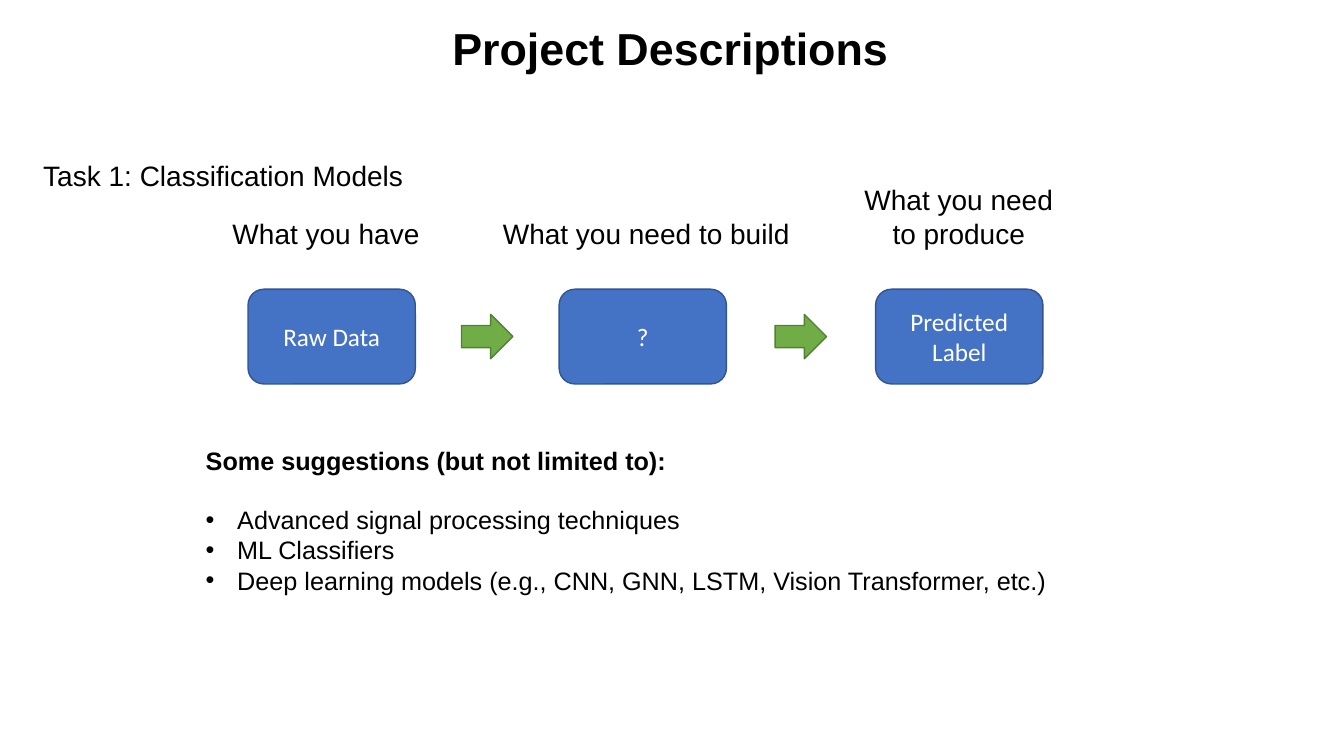
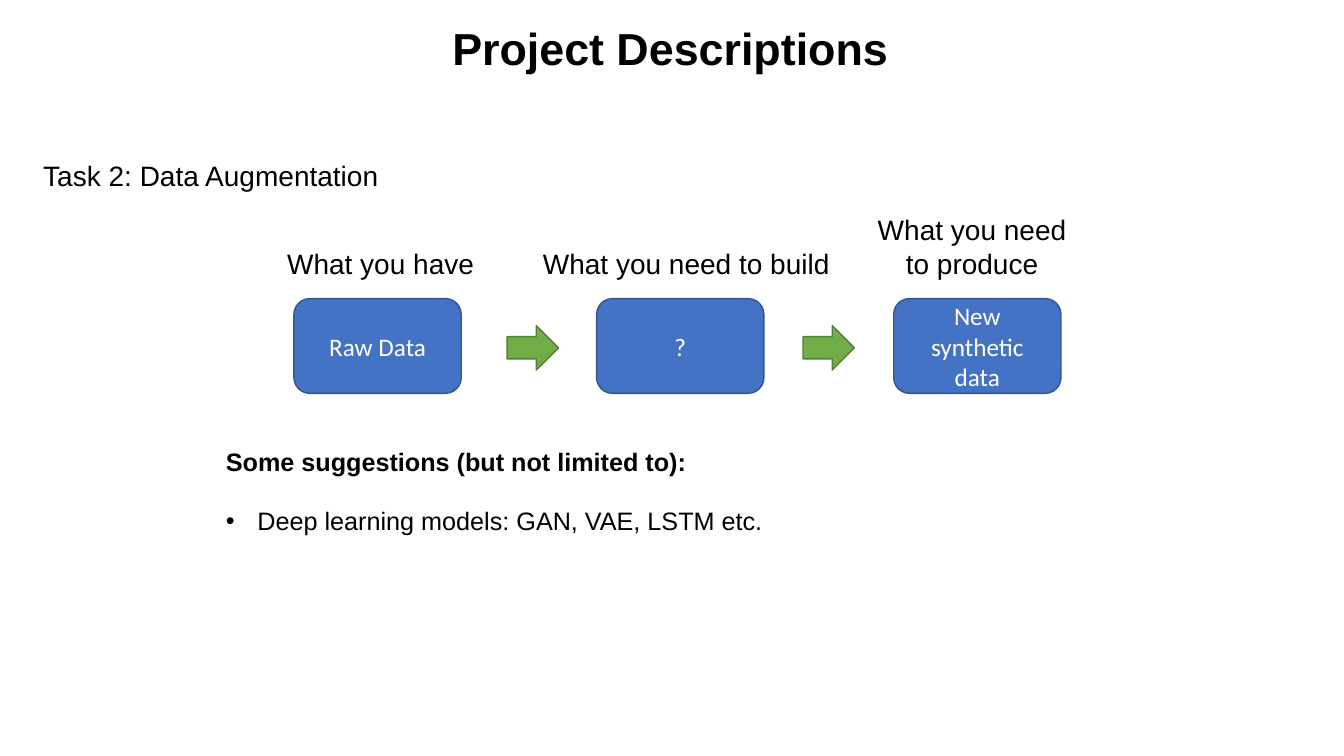
from dataclasses import dataclass

from lxml.etree import SubElement
from pptx import Presentation
from pptx.dml.color import RGBColor
from pptx.enum.shapes import MSO_SHAPE as Preset
from pptx.enum.text import MSO_ANCHOR as Anchor, MSO_AUTO_SIZE as AutoSize, PP_ALIGN as Align
from pptx.oxml.ns import qn
from pptx.shapes.autoshape import Shape
from pptx.slide import Slide
from pptx.text.text import TextFrame, _Paragraph as Paragraph
from pptx.util import Pt

COLORS = {
    "text": "000000",
    "stage": "4472C4",
    "stage_edge": "325491",
    "arrow": "70AD47",
    "arrow_edge": "538035",
    "stage_text": "FFFFFF",
}
BODY_FONT, STAGE_FONT = "Arial", "Calibri"
TITLE = "Project Descriptions"
SUGGESTIONS_HEADING = "Some suggestions (but not limited to):"
CAPTIONS = ("What you have", "What you need to build", "What you need\nto produce")

# Sizes in points
CAPTION_WIDTHS = (149, 221, 155.5)
LINE_HEIGHT, BOX_PADDING = 24, 7.4
STAGE_WIDTH, STAGE_HEIGHT = 119.5, 67.7
ARROW_WIDTH, ARROW_HEIGHT = 36.7, 31.7
SUGGESTIONS_WIDTH, SUGGESTION_LINE = 664.6, 21.8
HEADING_GAP, BULLET_INDENT = 20.7, 22.5


@dataclass(frozen=True)
class Task:
    heading: str
    heading_width: float
    stages: tuple[str, ...]
    stage_lefts: tuple[float, ...]
    stage_top: float
    arrow_lefts: tuple[float, ...]
    arrow_top: float
    caption_lefts: tuple[float, ...]
    caption_bottom: float
    suggestions: tuple[str, ...]
    suggestions_left: float
    suggestions_top: float


TASKS = (
    Task(
        "Task 1: Classification Models", 273.6,
        ("Raw Data", "?", "Predicted Label"), (177.2, 399.4, 625.5), 206.6,
        (329.6, 553.7), 224.6, (159, 352.1, 610.4), 182.4,
        ("Advanced signal processing techniques", "ML Classifiers",
         "Deep learning models (e.g., CNN, GNN, LSTM, Vision Transformer, etc.)"),
        139.9, 314.6,
    ),
    Task(
        "Task 2: Data Augmentation", 261.4,
        ("Raw Data", "?", "New synthetic data"), (210, 426.2, 638.4), 213.3,
        (362.2, 573.6), 232.6, (198, 380.7, 619.9), 204,
        ("Deep learning models: GAN, VAE, LSTM etc.",),
        154.3, 315.4,
    ),
)


def rgb(name: str) -> RGBColor:
    return RGBColor.from_string(COLORS[name])


def style_text(paragraph: Paragraph, size: float, font: str = BODY_FONT,
               color: str = "text", bold: bool = False) -> None:
    for run in paragraph.runs:
        run.font.name = font
        run.font.size = Pt(size)
        run.font.bold = bold
        run.font.color.rgb = rgb(color)


def add_text(slide: Slide, text: str, left: float, top: float, width: float, height: float,
             size: float = 20, bold: bool = False, wrap: bool = False) -> TextFrame:
    frame = slide.shapes.add_textbox(Pt(left), Pt(top), Pt(width), Pt(height)).text_frame
    frame.text = text
    frame.word_wrap = wrap
    frame.auto_size = AutoSize.SHAPE_TO_FIT_TEXT
    for paragraph in frame.paragraphs:
        style_text(paragraph, size, bold=bold)
    return frame


def add_block(slide: Slide, preset: Preset, left: float, top: float,
              width: float, height: float, color: str) -> Shape:
    block = slide.shapes.add_shape(preset, Pt(left), Pt(top), Pt(width), Pt(height))
    block.shadow.inherit = False
    block.fill.solid()
    block.fill.fore_color.rgb = rgb(color)
    block.line.color.rgb = rgb(f"{color}_edge")
    block.line.width = Pt(1)
    return block


def add_stage(slide: Slide, label: str, left: float, top: float) -> None:
    stage = add_block(slide, Preset.ROUNDED_RECTANGLE, left, top,
                      STAGE_WIDTH, STAGE_HEIGHT, "stage")
    frame = stage.text_frame
    frame.text = label
    frame.word_wrap = True
    frame.vertical_anchor = Anchor.MIDDLE
    frame.paragraphs[0].alignment = Align.CENTER
    style_text(frame.paragraphs[0], 18, STAGE_FONT, "stage_text")


def add_caption(slide: Slide, text: str, left: float, bottom: float, width: float) -> None:
    height = LINE_HEIGHT * len(text.splitlines()) + BOX_PADDING
    frame = add_text(slide, text, left, bottom - height, width, height)
    for paragraph in frame.paragraphs[1:]:
        paragraph.alignment = Align.CENTER


def add_bullet(paragraph: Paragraph) -> None:
    properties = paragraph._p.get_or_add_pPr()
    properties.set("marL", str(Pt(BULLET_INDENT)))
    properties.set("indent", str(-Pt(BULLET_INDENT)))
    SubElement(properties, qn("a:buFont"), typeface=BODY_FONT)
    SubElement(properties, qn("a:buChar"), char="•")


def add_suggestions(slide: Slide, task: Task) -> None:
    height = SUGGESTION_LINE * (len(task.suggestions) + 2) + BOX_PADDING
    frame = add_text(slide, SUGGESTIONS_HEADING, task.suggestions_left, task.suggestions_top,
                     SUGGESTIONS_WIDTH, height, size=18, bold=True, wrap=True)
    frame.paragraphs[0].space_after = Pt(HEADING_GAP)
    for suggestion in task.suggestions:
        item = frame.add_paragraph()
        item.text = suggestion
        style_text(item, 18)
        add_bullet(item)


def build_slide(deck: Presentation, task: Task) -> None:
    slide = deck.slides.add_slide(deck.slide_layouts[6])

    # Title and task heading
    add_text(slide, TITLE, 316, 11.5, 328.3, 46, size=32, bold=True)
    add_text(slide, task.heading, 23.8, 109.4, task.heading_width, 31.5)

    # Pipeline with captions above
    for label, left in zip(task.stages, task.stage_lefts):
        add_stage(slide, label, left, task.stage_top)
    for left in task.arrow_lefts:
        add_block(slide, Preset.RIGHT_ARROW, left, task.arrow_top,
                  ARROW_WIDTH, ARROW_HEIGHT, "arrow")
    for caption, left, width in zip(CAPTIONS, task.caption_lefts, CAPTION_WIDTHS):
        add_caption(slide, caption, left, task.caption_bottom, width)

    # Suggestions
    add_suggestions(slide, task)


def main() -> None:
    deck = Presentation()
    deck.slide_width, deck.slide_height = Pt(960), Pt(540)
    for task in TASKS:
        build_slide(deck, task)
    deck.save("out.pptx")


if __name__ == "__main__":
    main()
